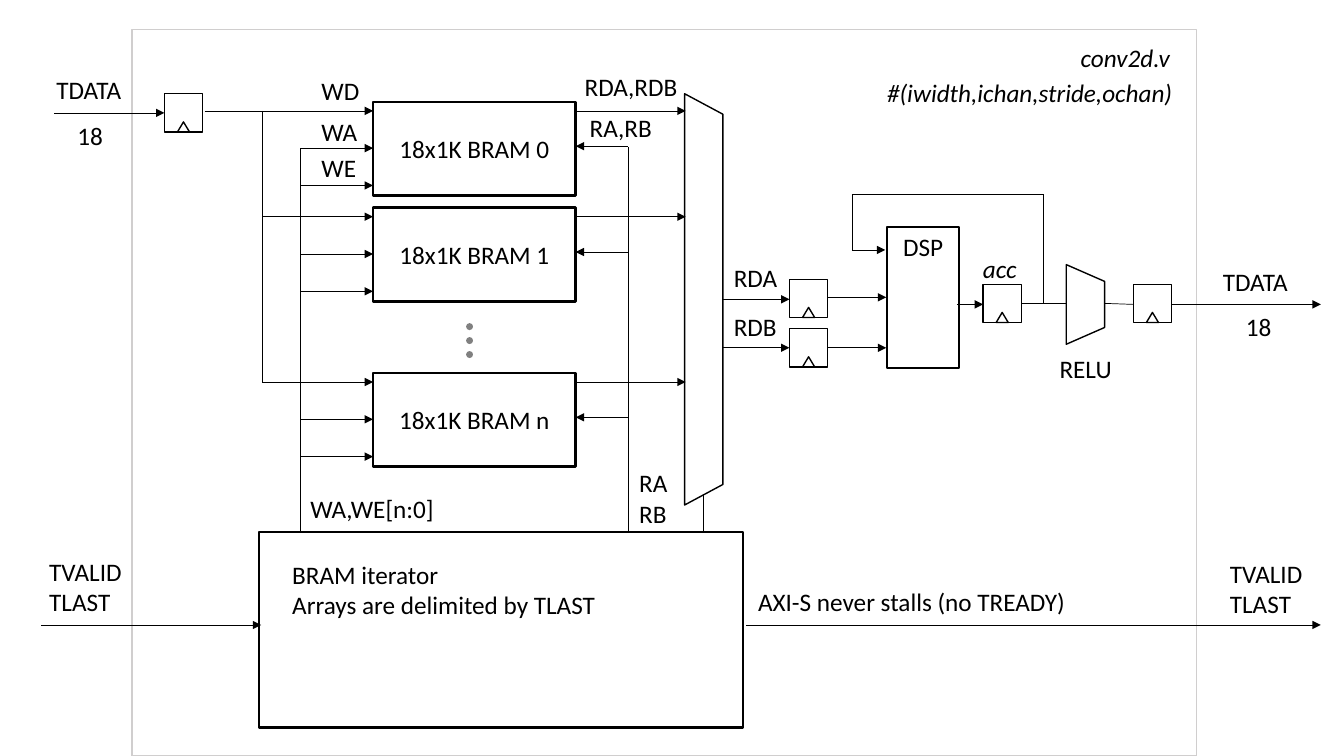
from lxml.etree import SubElement
from pptx import Presentation
from pptx.dml.color import RGBColor
from pptx.enum.dml import MSO_LINE
from pptx.enum.shapes import MSO_CONNECTOR as CONNECTOR, MSO_SHAPE as PRESET
from pptx.enum.text import MSO_ANCHOR as ANCHOR, PP_ALIGN as ALIGN
from pptx.oxml.ns import qn
from pptx.util import Inches, Pt

BLACK = RGBColor(0x00, 0x00, 0x00)
GRAY = RGBColor(0x80, 0x80, 0x80)
LIGHT_GRAY = RGBColor(0xD0, 0xCE, 0xCE)
FONT = {"name": "Calibri", "size": Pt(18)}

presentation = Presentation()
presentation.slide_width = Inches(13.33)
presentation.slide_height = Inches(7.5)
slide = presentation.slides.add_slide(presentation.slide_layouts[6])


def add_outline(preset, left, top, width, height, weight=1, color=BLACK):
    shape = slide.shapes.add_shape(
        preset, Inches(left), Inches(top), Inches(width), Inches(height))
    shape.shadow.inherit = False
    shape.fill.background()
    shape.line.color.rgb = color
    shape.line.width = Pt(weight)
    return shape


def add_wire(start_x, start_y, end_x, end_y, arrow=True):
    wire = slide.shapes.add_connector(
        CONNECTOR.STRAIGHT, Inches(start_x), Inches(start_y), Inches(end_x), Inches(end_y))
    wire.line.color.rgb = BLACK
    wire.line.width = Pt(0.5)
    if arrow:
        SubElement(wire.line._get_or_add_ln(), qn("a:tailEnd"), type="triangle")
    SubElement(wire._element.spPr, qn("a:effectLst"))
    return wire


add_outline(PRESET.RECTANGLE, 1.31, 0.29, 10.56, 7.21, 1, LIGHT_GRAY)
add_outline(PRESET.RECTANGLE, 2.57, 5.28, 4.8, 1.94, 1.75)

DATA_BUS, WRITE_BUS, READ_BUS = 2.6, 2.98, 6.23
BANK_LEFT, BANK_WIDTH, BANK_HEIGHT, MUX_LEFT = 3.7, 2.01, 0.93, 6.8
bank_right = BANK_LEFT + BANK_WIDTH
blocks = []
for name, top in [("0", 1.01), ("1", 2.06), ("n", 3.7)]:
    bank = add_outline(PRESET.RECTANGLE, BANK_LEFT, top, BANK_WIDTH, BANK_HEIGHT, 1.75)
    blocks.append((bank, f"18x1K BRAM {name}", ANCHOR.MIDDLE))
    data_start = 2.03 if name == "0" else DATA_BUS
    add_wire(data_start, top + 0.09, BANK_LEFT, top + 0.09)
    for offset in (0.46, 0.83):
        add_wire(WRITE_BUS, top + offset, BANK_LEFT, top + offset)
    add_wire(READ_BUS, top + 0.44, bank_right, top + 0.44)
    add_wire(bank_right, top + 0.09, MUX_LEFT, top + 0.09)

dsp = add_outline(PRESET.RECTANGLE, 8.8, 2.25, 0.71, 1.4, 1.75)
blocks.append((dsp, "DSP", ANCHOR.TOP))
for block, label, anchor in blocks:
    frame = block.text_frame
    frame.word_wrap = False
    frame.vertical_anchor = anchor
    paragraph = frame.paragraphs[0]
    paragraph.text = label
    paragraph.alignment = ALIGN.CENTER
    paragraph.font.color.rgb = BLACK
    for key, value in FONT.items():
        setattr(paragraph.font, key, value)

for left, top, length, adjustment in [(4.94, 2.78, 4.08, 0.536), (10.37, 2.83, 0.79, 0.438)]:
    trapezoid = add_outline(PRESET.TRAPEZOID, left, top, length, 0.38)
    trapezoid.rotation = 90
    trapezoid.adjustments[0] = adjustment

for left, top in [(1.63, 0.93), (7.83, 2.77), (7.83, 3.26), (9.75, 2.82), (11.24, 2.82)]:
    add_outline(PRESET.RECTANGLE, left, top, 0.38, 0.38)
    add_outline(PRESET.ISOSCELES_TRIANGLE, left + 0.13, top + 0.28, 0.12, 0.1)

for ends in [
    (0.54, 1.12, 1.63, 1.12),
    (0.41, 6.2, 2.59, 6.2),
    (7.4, 6.2, 13.1, 6.2),
    (7.17, 2.97, 7.83, 2.97),
    (7.17, 3.45, 7.83, 3.45),
    (8.21, 2.95, 8.79, 2.95),
    (8.21, 3.45, 8.79, 3.45),
    (8.45, 2.48, 8.78, 2.48),
    (9.49, 3.02, 9.75, 3.02),
    (11.62, 3.02, 13.1, 3.02),
]:
    add_wire(*ends)

for ends in [
    (DATA_BUS, 1.1, DATA_BUS, 3.79),
    (WRITE_BUS, 1.47, WRITE_BUS, 5.29),
    (READ_BUS, 1.46, READ_BUS, 5.29),
    (6.98, 4.9, 6.98, 5.29),
    (8.45, 2.48, 8.45, 1.93),
    (8.45, 1.93, 10.35, 1.93),
    (10.35, 3.01, 10.35, 1.93),
    (10.14, 3.01, 10.58, 3.01),
    (10.96, 3.01, 11.24, 3.02),
]:
    add_wire(*ends, arrow=False)

dots = add_wire(4.66, 3.24, 4.66, 3.65, arrow=False)
dots.line.color.rgb = GRAY
dots.line.width = Pt(5)
dots.line.dash_style = MSO_LINE.ROUND_DOT
dots.line._get_or_add_ln().set("cap", "rnd")

for text, left, top, width, italic in [
    ("TDATA", 0.46, 0.69, 0.85, False),
    ("18", 0.67, 1.14, 0.46, False),
    ("WD", 3.09, 0.7, 0.58, False),
    ("WA", 3.09, 1.1, 0.56, False),
    ("WE", 3.09, 1.46, 0.55, False),
    ("RDA,RDB", 5.7, 0.66, 1.13, False),
    ("RA,RB", 5.75, 1.07, 0.82, False),
    ("WA,WE[n:0]", 2.98, 4.84, 1.44, False),
    ("RA\nRB", 6.24, 4.59, 0.48, False),
    ("RDA", 7.18, 2.55, 0.64, False),
    ("RDB", 7.18, 3.04, 0.63, False),
    ("acc", 9.65, 2.46, 0.54, True),
    ("RELU", 10.41, 3.46, 0.72, False),
    ("TDATA", 12.03, 2.59, 0.85, False),
    ("18", 12.26, 3.04, 0.46, False),
    ("conv2d.v", 10.62, 0.37, 1.1, True),
    ("#(iwidth,ichan,stride,ochan)", 8.7, 0.72, 3.06, True),
    ("TVALID\nTLAST", 0.39, 5.47, 0.93, False),
    ("TVALID\nTLAST", 12.1, 5.49, 0.93, False),
    ("BRAM iterator\nArrays are delimited by TLAST", 2.8, 5.5, 3.24, False),
    ("AXI-S never stalls (no TREADY)", 7.42, 5.77, 4.07, False),
]:
    height = 0.71 if "\n" in text else 0.4
    box = slide.shapes.add_textbox(Inches(left), Inches(top), Inches(width), Inches(height))
    frame = box.text_frame
    frame.word_wrap = width > 4
    frame.text = text
    for paragraph in frame.paragraphs:
        paragraph.font.color.rgb = BLACK
        for key, value in {**FONT, "italic": italic}.items():
            setattr(paragraph.font, key, value)

presentation.save("out.pptx")
